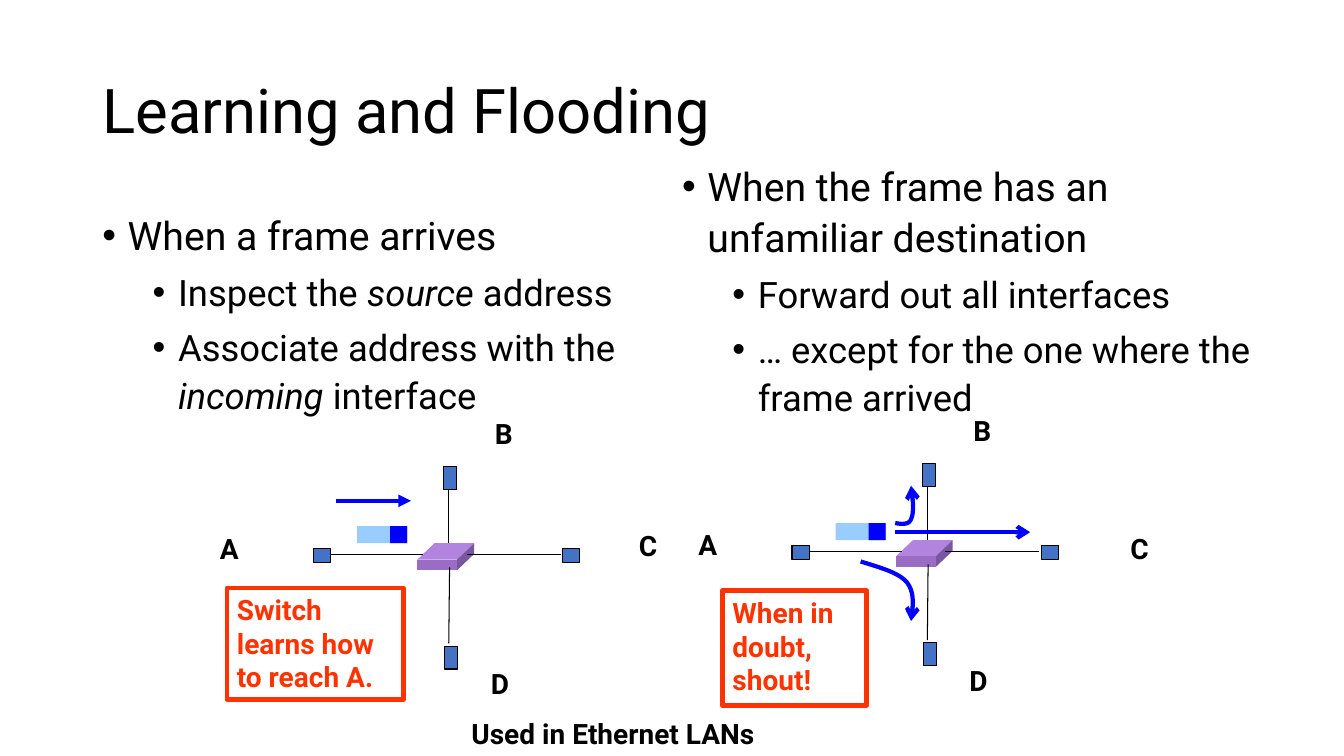
from dataclasses import dataclass

from lxml import etree
from pptx import Presentation
from pptx.dml.color import RGBColor
from pptx.enum.shapes import MSO_CONNECTOR, MSO_SHAPE
from pptx.enum.text import MSO_ANCHOR, MSO_AUTO_SIZE, PP_ALIGN
from pptx.oxml.ns import qn
from pptx.util import Cm, Pt

RECTANGLE = MSO_SHAPE.RECTANGLE
STRAIGHT = MSO_CONNECTOR.STRAIGHT
LEFT = PP_ALIGN.LEFT


@dataclass(frozen=True)
class Theme:
    font: str = "Roboto"
    ink: str = "000000"
    paper: str = "FFFFFF"
    host: str = "4472C4"
    payload: str = "99CCFF"
    flow: str = "0000FF"
    note: str = "FF3300"
    switch_top: str = "B284DF"
    switch_front: str = "9A6CC4"
    switch_side: str = "7A55A0"
    title_size: int = 44
    bullet_sizes: tuple = (28, 26)
    label_size: int = 20
    thin: float = 0.75
    thick: float = 3


THEME = Theme()


def paint(shape, fill=None, line=None, width=THEME.thin):
    """Give a shape its fill and outline, or none, and no shadow."""
    shape.shadow.inherit = False
    if fill:
        shape.fill.solid()
        shape.fill.fore_color.rgb = RGBColor.from_string(fill)
    else:
        shape.fill.background()
    if line:
        shape.line.color.rgb = RGBColor.from_string(line)
        shape.line.width = Pt(width)
    else:
        shape.line.fill.background()


def draw_line(ends, color=THEME.ink, width=THEME.thin, head=None):
    """Draw a straight connector between two points, with an optional arrowhead."""
    connector = slide.shapes.add_connector(STRAIGHT, *(Cm(v) for v in ends))
    connector.line.color.rgb = RGBColor.from_string(color)
    connector.line.width = Pt(width)
    properties = connector._element.spPr
    if head:
        etree.SubElement(properties.find(qn("a:ln")), qn("a:tailEnd"), type=head)
    etree.SubElement(properties, qn("a:effectLst"))


deck = Presentation()
deck.slide_width, deck.slide_height = Cm(33.87), Cm(19.05)
slide = deck.slides.add_slide(deck.slide_layouts[5])

title = slide.shapes.title
title.left, title.top, title.width, title.height = Cm(2.33), Cm(1.01), Cm(29.21), Cm(3.68)
title.text_frame.text = "Learning and Flooding"
title.text_frame.vertical_anchor = MSO_ANCHOR.MIDDLE
title.text_frame.auto_size = MSO_AUTO_SIZE.NONE
heading = title.text_frame.paragraphs[0]
heading.alignment = LEFT
heading.line_spacing = 0.9
heading.font.name = THEME.font
heading.font.size = Pt(THEME.title_size)
heading.font.color.rgb = RGBColor.from_string(THEME.ink)

# Each bullet: level, then runs that alternate between upright and italic
columns = [
    ((2.33, 5.08, 14.4, 12.09), [
        (0, ["When a frame arrives"]),
        (1, ["Inspect the ", "source", " address"]),
        (1, ["Associate address with the ", "incoming", " interface"]),
    ]),
    ((16.94, 3.84, 15.6, 14.78), [
        (0, ["When the frame has an unfamiliar destination"]),
        (1, ["Forward out all interfaces"]),
        (1, ["… except for the one where the frame arrived"]),
    ]),
]
for box, bullets in columns:
    column = slide.shapes.add_textbox(*(Cm(v) for v in box)).text_frame
    column.word_wrap = True
    for index, (level, runs) in enumerate(bullets):
        bullet = column.paragraphs[0] if index == 0 else column.add_paragraph()
        bullet.level = level
        bullet.line_spacing = 1.1
        if index:
            bullet.space_before = Pt(5)
        properties = bullet._p.get_or_add_pPr()
        properties.set("marL", str(Cm(0.64 + 1.27 * level)))
        properties.set("indent", str(Cm(-0.64)))
        etree.SubElement(properties, qn("a:buFont"), typeface="Arial")
        etree.SubElement(properties, qn("a:buChar"), char="•")
        bullet.font.name = THEME.font
        bullet.font.size = Pt(THEME.bullet_sizes[level])
        bullet.font.color.rgb = RGBColor.from_string(THEME.ink)
        for position, words in enumerate(runs):
            run = bullet.add_run()
            run.text = words
            if position % 2:
                run.font.italic = True

# Network parts, measured from the top left corner of the switch front
switch_faces = [
    (THEME.switch_top, [(0, 0), (0.43, -0.41), (1.43, -0.41), (1, 0)]),
    (THEME.switch_side, [(1, 0), (1.43, -0.41), (1.43, -0.14), (1, 0.27)]),
    (THEME.switch_front, [(0, 0), (1, 0), (1, 0.27), (0, 0.27)]),
]
blocks = [
    (THEME.host, THEME.ink, (-2.62, -0.28, 0.43, 0.36)),
    (THEME.host, THEME.ink, (3.66, -0.28, 0.43, 0.36)),
    (THEME.host, THEME.ink, (0.66, -2.34, 0.33, 0.58)),
    (THEME.host, THEME.ink, (0.69, 2.18, 0.33, 0.58)),
    (THEME.payload, None, (-1.52, -0.84, 1.27, 0.43)),
    (THEME.flow, None, (-0.69, -0.84, 0.43, 0.43)),
]
cables = [
    (-2.18, -0.13, 0.15, -0.13),
    (0.79, -1.75, 0.79, -0.41),
    (3.61, -0.13, 1.24, -0.13),
    (0.79, 2.11, 0.81, 0.2),
]
host_labels = {"A": (-5.23, -0.84), "B": (1.7, -3.73), "D": (1.6, 2.57)}

# Text, box, text colour, fill, outline
captions = []
for x, y, label_c in [(10.52, 14.1, (5.33, -0.91)), (22.58, 14.02, (5.66, -0.74))]:
    for color, corners in switch_faces:
        points = [(Cm(x + dx), Cm(y + dy)) for dx, dy in corners]
        outline = slide.shapes.build_freeform(*points[0])
        outline.add_line_segments(points[1:])
        paint(outline.convert_to_shape(), color)
    for fill, line, (dx, dy, width, height) in blocks:
        block = slide.shapes.add_shape(RECTANGLE, Cm(x + dx), Cm(y + dy), Cm(width), Cm(height))
        paint(block, fill, line)
    for x1, y1, x2, y2 in cables:
        draw_line((x + x1, y + y1, x + x2, y + y2))
    for name, (dx, dy) in {**host_labels, "C": label_c}.items():
        captions.append((name, (x + dx, y + dy, 1.02, 1.1), THEME.ink, None, None))

draw_line((8.46, 12.62, 10.36, 12.62), THEME.flow, THEME.thick, "triangle")
draw_line((22.56, 13.41, 25.96, 13.41), THEME.flow, THEME.thick, "arrow")

# Flooding arrows: two Bézier curves each, sharing the middle point
STEPS = 10
flood_curves = [
    [(22.56, 13.18), (22.71, 13.21), (22.91, 13.23), (22.96, 13.08),
     (23.04, 12.93), (23.01, 12.57), (22.96, 12.24)],
    [(21.69, 14.15), (22.17, 14.3), (22.66, 14.43), (22.86, 14.68),
     (23.06, 14.94), (23.01, 15.29), (22.96, 15.65)],
]
for knots in flood_curves:
    points = []
    for first in (0, 3):
        for step in range(1, STEPS + 1):
            t = step / STEPS
            weights = ((1 - t) ** 3, 3 * t * (1 - t) ** 2, 3 * t * t * (1 - t), t ** 3)
            points.append(tuple(
                Cm(sum(w * knot[axis] for w, knot in zip(weights, knots[first:first + 4])))
                for axis in (0, 1)))
    path_builder = slide.shapes.build_freeform(*(Cm(v) for v in knots[0]))
    path_builder.add_line_segments(points, close=False)
    flood_arrow = path_builder.convert_to_shape()
    paint(flood_arrow, None, THEME.flow, THEME.thick)
    etree.SubElement(flood_arrow._element.spPr.find(qn("a:ln")), qn("a:tailEnd"), type="arrow")

captions += [
    ("Switch learns how to reach A.", (5.72, 14.81, 4.45, 2.82), THEME.note, None, THEME.note),
    ("When in doubt, shout!", (18.21, 14.88, 3.63, 2.9), THEME.note, None, THEME.note),
    ("Used in Ethernet LANs", (11.63, 17.93, 8.23, 1.12), THEME.ink, THEME.paper, None),
]
for words, box, color, fill, line in captions:
    caption = slide.shapes.add_shape(RECTANGLE, *(Cm(v) for v in box))
    paint(caption, fill, line, THEME.thick)
    caption.text_frame.word_wrap = True
    caption.text_frame.vertical_anchor = MSO_ANCHOR.TOP
    caption.text_frame.text = words
    paragraph = caption.text_frame.paragraphs[0]
    paragraph.alignment = LEFT
    paragraph.font.name = THEME.font
    paragraph.font.size = Pt(THEME.label_size)
    paragraph.font.bold = True
    paragraph.font.color.rgb = RGBColor.from_string(color)

deck.save("out.pptx")
